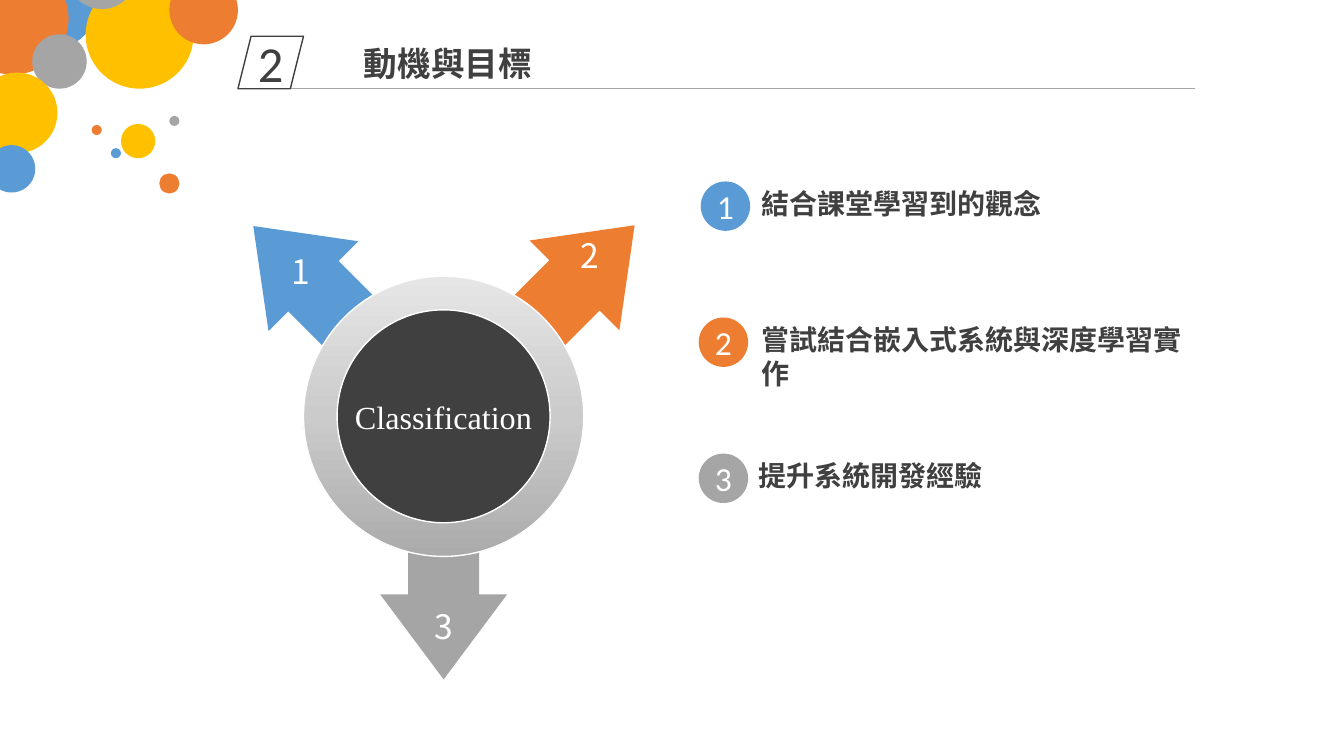
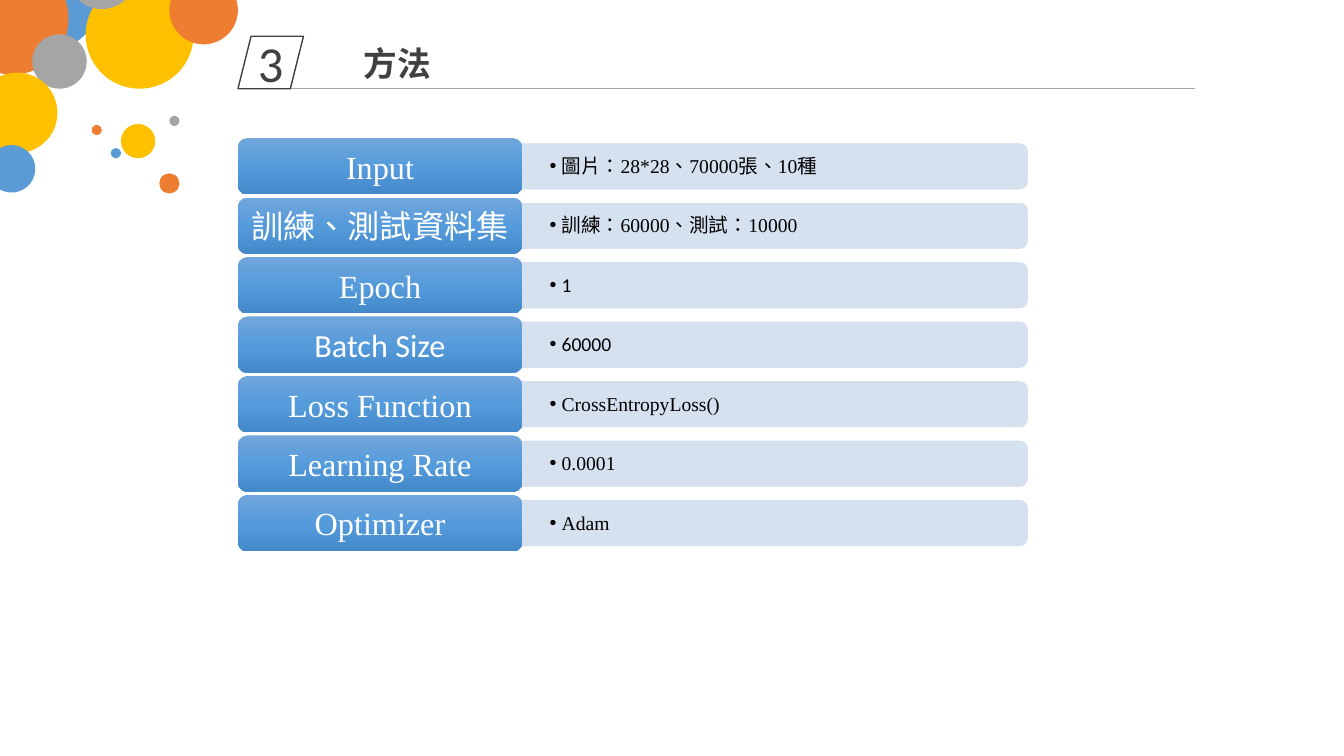
from copy import deepcopy
from dataclasses import dataclass
from math import cos, radians, sin

from lxml.etree import SubElement
from pptx import Presentation
from pptx.dml.color import RGBColor
from pptx.enum.lang import MSO_LANGUAGE_ID
from pptx.enum.shapes import MSO_CONNECTOR, MSO_SHAPE
from pptx.enum.text import MSO_ANCHOR, MSO_AUTO_SIZE, PP_ALIGN
from pptx.oxml.ns import qn
from pptx.util import Inches, Pt


@dataclass(frozen=True)
class Theme:
    """Colours, fonts and type sizes of the deck."""
    blue: str = "5B9BD5"
    orange: str = "ED7D31"
    grey: str = "A5A5A5"
    yellow: str = "FFC000"
    ink: str = "404040"
    rule: str = "A6A6A6"
    white: str = "FFFFFF"
    black: str = "000000"
    pale: str = "D2DEEF"
    ring: tuple = ("E6E6E6", "CBCBCB", "ABABAB")
    pill: tuple = ("71A6DB", "559BDB", "448ACA")
    sans: str = "Calibri"
    serif: str = "Times New Roman"
    cjk: str = "Noto Sans CJK SC"
    section: int = 36
    heading: int = 24
    label: int = 23
    goal: int = 20
    value: int = 14


@dataclass(frozen=True)
class Box:
    """A region measured in one-inch columns and rows."""
    left: float
    top: float
    width: float
    height: float

    @property
    def center(self):
        """Return the middle point."""
        return self.left + self.width / 2, self.top + self.height / 2

    def inner(self, left, top, width, height):
        """Return a box offset from this one."""
        return Box(self.left + left, self.top + top, width, height)

    def emu(self):
        """Return the lengths that python-pptx expects."""
        return [Inches(n) for n in (self.left, self.top, self.width, self.height)]


THEME = Theme()
PAGE = Box(0, 0, 13.33, 7.5)
HEADER = Box(2.36, 0.36, 9.49, 0.52)
BUBBLES = [
    (0.04, -0.44, 0.93, THEME.blue), (-0.43, -0.37, 1.11, THEME.orange),
    (0.32, 0.34, 0.54, THEME.grey), (-0.23, 0.72, 0.8, THEME.yellow),
    (0.85, -0.19, 1.07, THEME.yellow), (0.67, -0.59, 0.68, THEME.grey),
    (-0.12, 1.44, 0.47, THEME.blue), (1.2, 1.23, 0.34, THEME.yellow),
    (1.1, 1.47, 0.1, THEME.blue), (0.91, 1.24, 0.1, THEME.orange),
    (1.68, 1.15, 0.1, THEME.grey), (1.58, 1.72, 0.2, THEME.orange),
    (1.68, -0.24, 0.68, THEME.orange),
]
ACCENTS = (THEME.blue, THEME.orange, THEME.grey)
DIRECTIONS = [(315, 1.63, -1.42, -1.44), (45, 1.64, 1.45, -1.6), (180, 1.57, 0, 2.08)]
GOALS = [("結合課堂學習到的觀念", 1, 0.02, 0.03), ("嘗試結合嵌入式系統與深度學習實作", 2, 0, 0.03),
         ("提升系統開發經驗", 1, 0, 0)]
SETTINGS = [
    ("Input", THEME.serif, "圖片：28*28、70000張、10種", THEME.serif),
    ("訓練、測試資料集", THEME.serif, "訓練：60000、測試：10000", THEME.serif),
    ("Epoch", THEME.serif, "1", THEME.sans),
    ("Batch Size", THEME.sans, "60000", THEME.sans),
    ("Loss Function", THEME.serif, "CrossEntropyLoss()", THEME.serif),
    ("Learning Rate", THEME.serif, "0.0001", THEME.serif),
    ("Optimizer", THEME.serif, "Adam", THEME.serif),
]


def assign(target, **values):
    """Set each attribute from its format value."""
    for key, value in values.items():
        setattr(target, key, value)


def format_frame(frame, anchor=MSO_ANCHOR.MIDDLE, wrap=False, side=0, edge=0):
    """Fix wrapping, anchoring and margins of a text frame."""
    assign(frame, auto_size=MSO_AUTO_SIZE.NONE, word_wrap=wrap, vertical_anchor=anchor,
           margin_left=Inches(side), margin_right=Inches(side),
           margin_top=Inches(edge), margin_bottom=Inches(edge))


def write(paragraph, text, font, size, color, align=PP_ALIGN.CENTER, bold=False, **spacing):
    """Put one formatted run in a paragraph."""
    assign(paragraph, alignment=align, space_before=Pt(0), **spacing)
    run = paragraph.add_run()
    run.text = text
    assign(run.font, name=font, size=Pt(size), bold=bold,
           language_id=MSO_LANGUAGE_ID.TRADITIONAL_CHINESE)
    run.font.color.rgb = RGBColor.from_string(color)
    SubElement(run.font._element, qn("a:ea"), typeface=THEME.cjk)


def indent(paragraph, margin, hanging, bulleted):
    """Set the left margin, hanging indent and bullet of a paragraph."""
    properties = paragraph._p.get_or_add_pPr()
    properties.set("marL", str(Inches(margin)))
    properties.set("indent", str(-Inches(hanging)))
    if bulleted:
        SubElement(properties, qn("a:buChar"), char="•")
    else:
        SubElement(properties, qn("a:buNone"))


def draw(shapes, kind, box, color=None, outline=None, width=1, adjust=(), rotation=0):
    """Add a flat preset shape."""
    figure = shapes.add_shape(kind, *box.emu())
    figure.shadow.inherit = False
    figure.rotation = rotation
    for index, amount in enumerate(adjust):
        figure.adjustments[index] = amount
    for paint, tint in ((figure.fill, color), (figure.line.fill, outline)):
        if tint:
            paint.solid()
            paint.fore_color.rgb = RGBColor.from_string(tint)
        else:
            paint.background()
    if outline:
        figure.line.width = Pt(width)
    return figure


def shade(figure, colors):
    """Fill a shape with an even gradient from top to bottom."""
    figure.fill.gradient()
    figure.fill.gradient_angle = 270
    ramp = figure._element.xpath(".//a:gsLst")[0]
    ramp.append(deepcopy(ramp[0]))
    for index, (stop, color) in enumerate(zip(figure.fill.gradient_stops, colors)):
        stop.color.rgb = RGBColor.from_string(color)
        stop.position = index / (len(colors) - 1)


def caption(figure, text, font, size, color):
    """Center one line of text in a shape."""
    format_frame(figure.text_frame)
    write(figure.text_frame.paragraphs[0], text, font, size, color)


def move(placeholder, box):
    """Place a placeholder on top of the shapes drawn so far."""
    left, top, width, height = box.emu()
    assign(placeholder, left=left, top=top, width=width, height=height)
    tree = placeholder._element.getparent()
    tree.append(placeholder._element)


def bubbles(slide, box):
    """Scatter the corner bubbles."""
    cluster = slide.shapes.add_group_shape()
    for left, top, size, color in BUBBLES:
        draw(cluster.shapes, MSO_SHAPE.OVAL, box.inner(left, top, size, size), color)


def header(slide, box, number, title):
    """Draw the section number, the rule and the title."""
    left, top, width, height = box.emu()
    rule = slide.shapes.add_connector(MSO_CONNECTOR.STRAIGHT, left + Inches(0.48), top + height,
                                      left + width, top + height)
    rule.line.width = Pt(0.5)
    rule.line.color.rgb = RGBColor.from_string(THEME.rule)
    SubElement(rule._element.spPr, qn("a:effectLst"))
    section = draw(slide.shapes, MSO_SHAPE.PARALLELOGRAM, box.inner(0, 0, 0.65, box.height),
                   outline=THEME.ink)
    caption(section, number, THEME.sans, THEME.section, THEME.ink)
    move(slide.shapes.title, box.inner(1.15, 0.02, 5.13, 0.5))
    frame = slide.shapes.title.text_frame
    format_frame(frame, wrap=True, side=0.1, edge=0.05)
    write(frame.paragraphs[0], title, THEME.cjk, THEME.heading, THEME.ink, PP_ALIGN.LEFT, True)


def wheel(slide, box):
    """Draw the hub with its three numbered arrows."""
    x, y = box.center
    arrow_width, arrow_height, digit = 1.26, 2.08, 0.5
    for color, (angle, reach, _, _) in zip(ACCENTS, DIRECTIONS):
        turn = radians(angle)
        spot = Box(x + reach * sin(turn) - arrow_width / 2, y - reach * cos(turn) - arrow_height / 2,
                   arrow_width, arrow_height)
        draw(slide.shapes, MSO_SHAPE.UP_ARROW, spot, color, adjust=(0.56, 0.67), rotation=angle)
    hub = draw(slide.shapes, MSO_SHAPE.OVAL, box, THEME.ink)
    caption(hub, "Classification", THEME.serif, THEME.label, THEME.white)
    ring = draw(slide.shapes, MSO_SHAPE.DONUT, box, outline=THEME.white, adjust=(0.12,))
    shade(ring, THEME.ring)
    for number, (_, _, dx, dy) in enumerate(DIRECTIONS, 1):
        spot = Box(x + dx - digit / 2, y + dy - digit / 2, digit, digit)
        caption(slide.shapes.add_textbox(*spot.emu()), str(number), THEME.cjk, THEME.heading,
                THEME.white)


def goals(slide, box):
    """List the goals beside their numbered badges."""
    pitch, line, badge = box.height / len(GOALS), 24, 0.49
    body = slide.placeholders[1]
    move(body, box.inner(badge, 0, box.width - badge, box.height))
    frame = body.text_frame
    format_frame(frame, MSO_ANCHOR.TOP, True, 0.1, 0.05)
    for index, (color, (text, lines, shift, margin)) in enumerate(zip(ACCENTS, GOALS)):
        spot = box.inner(shift, index * pitch, badge, badge)
        caption(draw(slide.shapes, MSO_SHAPE.OVAL, spot, color), str(index + 1), THEME.sans,
                THEME.heading, THEME.white)
        paragraph = frame.add_paragraph() if index else frame.paragraphs[0]
        write(paragraph, text, THEME.cjk, THEME.goal, THEME.ink, PP_ALIGN.LEFT, True,
              line_spacing=Pt(line), space_after=Pt(pitch * 72 - lines * line))
        indent(paragraph, margin, 0, False)


def settings(slide, box):
    """Pair each setting label with its value."""
    pitch, label_width, label_height, bar = box.height / len(SETTINGS), 2.82, 0.56, 0.45
    value_width = box.width - label_width
    body = slide.placeholders[1]
    frame = body.text_frame
    format_frame(frame, MSO_ANCHOR.TOP, True, 0.27)
    for index, (label, label_font, value, value_font) in enumerate(SETTINGS):
        row = box.inner(0, index * pitch, box.width, label_height)
        strip = row.inner(label_width + (value_width - bar) / 2, (label_height - value_width) / 2,
                          bar, value_width)
        band = draw(slide.shapes, MSO_SHAPE.ROUND_2_SAME_RECTANGLE, strip, THEME.pale, THEME.pale,
                    0.5, rotation=90)
        for tint in band._element.spPr.iter(qn("a:srgbClr")):
            SubElement(tint, qn("a:alpha"), val="90000")
        pill = draw(slide.shapes, MSO_SHAPE.ROUNDED_RECTANGLE,
                    row.inner(0, 0, label_width, label_height), THEME.blue)
        shade(pill, THEME.pill)
        caption(pill, label, label_font, THEME.label, THEME.white)
        paragraph = frame.add_paragraph() if index else frame.paragraphs[0]
        write(paragraph, value, value_font, THEME.value, THEME.black, PP_ALIGN.LEFT,
              line_spacing=Pt(pitch * 72), space_after=Pt(0))
        indent(paragraph, 0.12, 0.12, True)
    move(body, box.inner(label_width, -0.2, value_width, box.height))


def add_page(deck, number, title):
    """Start a slide with the shared bubbles and header."""
    slide = deck.slides.add_slide(deck.slide_layouts[1])
    bubbles(slide, PAGE)
    header(slide, HEADER, number, title)
    return slide


def main():
    """Build and save the deck."""
    deck = Presentation()
    assign(deck, slide_width=Inches(PAGE.width), slide_height=Inches(PAGE.height))
    motives = add_page(deck, "2", "動機與目標")
    wheel(motives, Box(3.01, 2.74, 2.78, 2.78))
    goals(motives, Box(6.93, 1.8, 5.15, 4.05))
    method = add_page(deck, "3", "方法")
    settings(method, Box(HEADER.left, 1.37, 7.83, 4.13))
    deck.save("out.pptx")


main()
